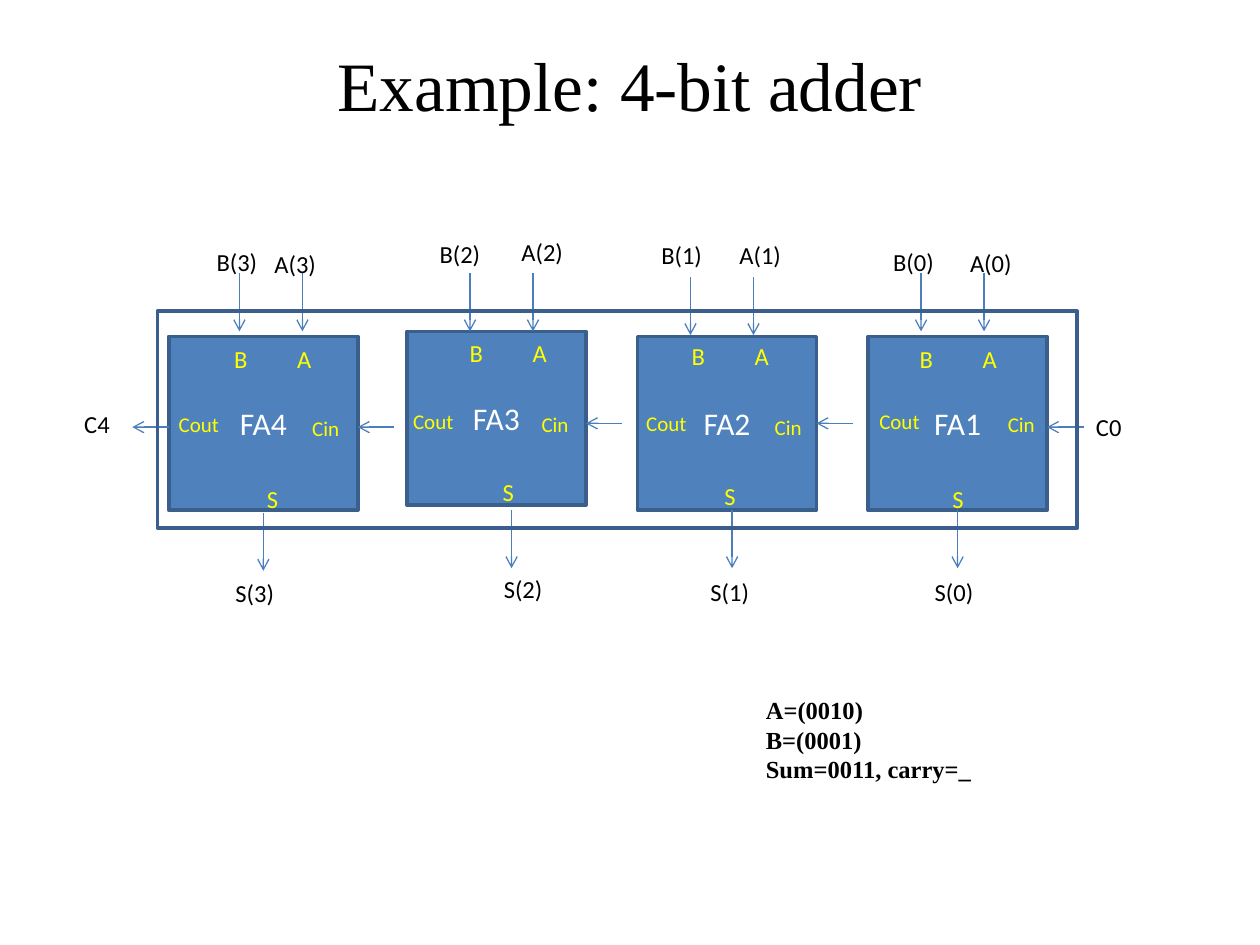
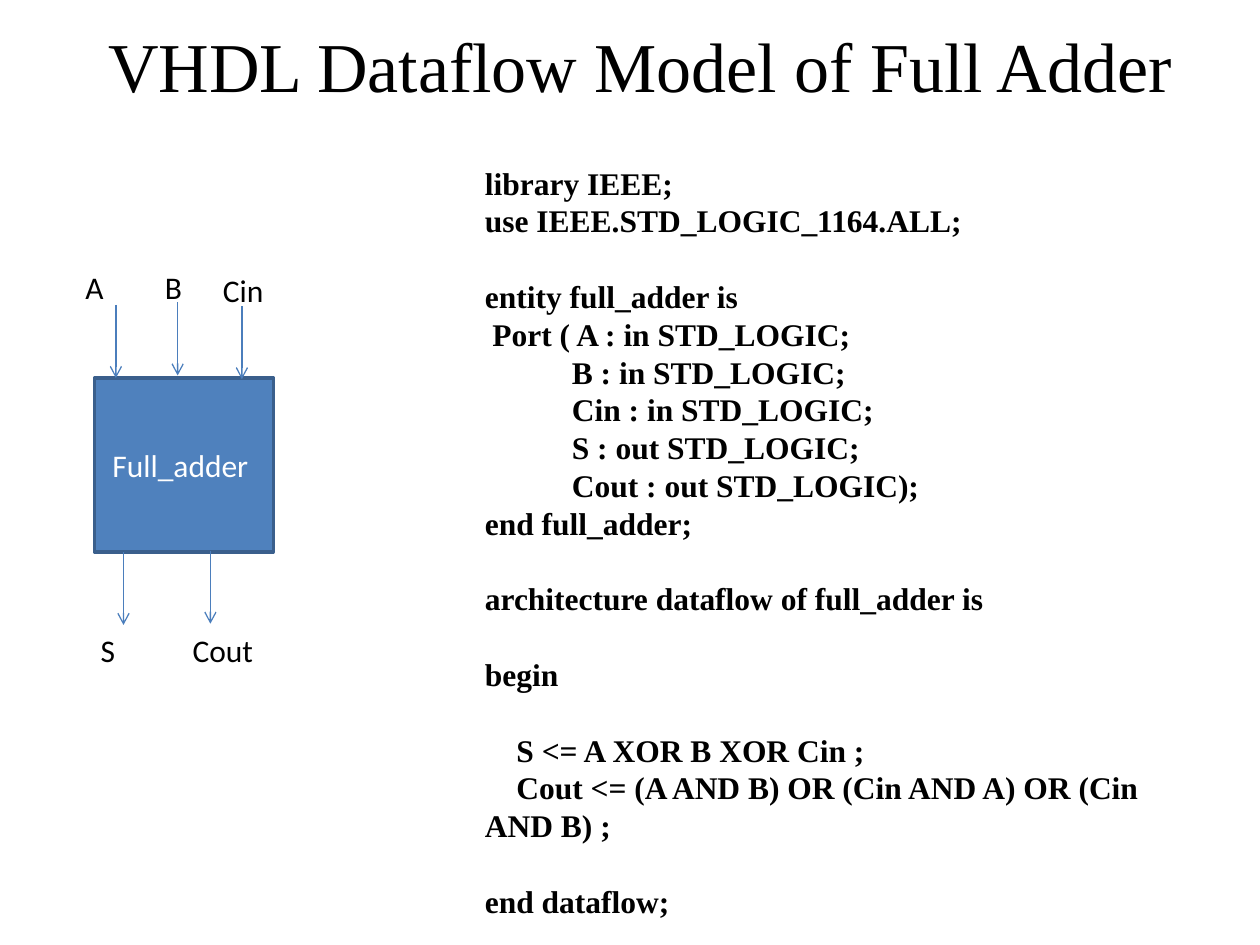
from collections import namedtuple

from lxml import etree
from pptx import Presentation
from pptx.dml.color import RGBColor
from pptx.enum import shapes, text
from pptx.oxml.ns import qn
from pptx.util import Inches, Pt

SERIF, SANS = "Times New Roman", "Calibri"
BLACK, WHITE, YELLOW = "000000", "FFFFFF", "FFFF00"
BLUE, EDGE, WIRE = "4F81BD", "3A5F8C", "4B7EBC"
BOX_W, BOX_H = 1.42, 1.38
LINE_GAP = 21.6  # height of one empty code line, in points

# Places are (x, y) in inches; the inner labels B and S hang off inner_a.
Adder = namedtuple(
    "Adder", "box width b_wire s_wire a_label b_label s_label inner_a cin cout carry_y")
ADDERS = [
    Adder((6.89, 2.67), BOX_W, (7.31, 2.17), (7.6, 4.05), (7.6, 1.92), (6.99, 1.91),
          (7.32, 4.53), (7.7, 2.68), (7.9, 3.22), (6.88, 3.19), 3.39),
    Adder((5.06, 2.67), BOX_W, (5.48, 2.2), (5.81, 4.05), (5.77, 1.86), (5.15, 1.86),
          (5.54, 4.53), (5.89, 2.66), (6.05, 3.24), (5.03, 3.21), 3.36),
    Adder((3.23, 2.63), BOX_W, (3.73, 2.17), (4.06, 4.05), (4.04, 1.83), (3.39, 1.85),
          (3.9, 4.51), (4.13, 2.63), (4.2, 3.22), (3.18, 3.19), 3.36),
    Adder((1.34, 2.67), 1.5, (1.9, 2.17), (2.09, 4.07), (2.08, 1.93), (1.62, 1.91),
          (1.77, 4.54), (2.26, 2.68), (2.38, 3.25), (1.32, 3.22), 3.39),
]

# (text, first-line indent in inches, empty lines before)
VHDL = [
    ("library IEEE;", 0, 0),
    ("use IEEE.STD_LOGIC_1164.ALL;", 0, 0),
    ("entity full_adder is", 0, 1),
    ("Port ( A : in STD_LOGIC;", 0.06, 0),
    ("B : in STD_LOGIC;", 0.69, 0),
    ("Cin : in STD_LOGIC;", 0.69, 0),
    ("S : out STD_LOGIC;", 0.69, 0),
    ("Cout : out STD_LOGIC);", 0.69, 0),
    ("end full_adder;", 0, 0),
    ("architecture dataflow of full_adder is", 0, 1),
    ("begin", 0, 1),
    ("S <= A XOR B XOR Cin ;", 0.25, 1),
    ("Cout <= (A AND B) OR (Cin AND A) OR (Cin AND B) ;", 0.25, 0),
    ("end dataflow;", 0, 1),
]


def rgb(value):
    return RGBColor.from_string(value)


def write(p, words, size=14, font=SANS, color=BLACK, bold=False,
          align=text.PP_ALIGN.LEFT, indent=0, before=0):
    p.alignment = align
    p.space_before = Pt(before)
    if indent:
        p._p.get_or_add_pPr().set("indent", str(Inches(indent)))
    r = p.add_run()
    r.text = words
    r.font.size, r.font.name, r.font.bold = Pt(size), font, bold
    r.font.color.rgb = rgb(color)


class Deck:
    def __init__(self):
        self.prs = Presentation()
        self.prs.slide_width, self.prs.slide_height = Inches(10), Inches(7.5)
        self.s = None

    def slide(self, title, at, size):
        self.s = self.prs.slides.add_slide(self.prs.slide_layouts[5])
        sp = self.s.shapes.title
        sp.left, sp.top, sp.width, sp.height = map(Inches, at)
        tf = sp.text_frame
        tf.auto_size = text.MSO_AUTO_SIZE.NONE
        tf.vertical_anchor = text.MSO_ANCHOR.MIDDLE
        write(tf.paragraphs[0], title, size=size, font=SERIF, align=text.PP_ALIGN.CENTER)

    def box(self, x, y, w, h, words=None):
        """A filled block with a caption, or an empty frame without one."""
        sp = self.s.shapes.add_shape(
            shapes.MSO_SHAPE.RECTANGLE, Inches(x), Inches(y), Inches(w), Inches(h))
        sp.shadow.inherit = False
        sp.line.color.rgb = rgb(EDGE)
        sp.line.width = Pt(2)
        if words is None:
            sp.fill.background()
            return
        sp.fill.solid()
        sp.fill.fore_color.rgb = rgb(BLUE)
        tf = sp.text_frame
        tf.vertical_anchor = text.MSO_ANCHOR.MIDDLE
        write(tf.paragraphs[0], words, size=18, color=WHITE, align=text.PP_ALIGN.CENTER)

    def arrow(self, x, y, dx=0, dy=0):
        ln = self.s.shapes.add_connector(
            shapes.MSO_CONNECTOR.STRAIGHT,
            Inches(x), Inches(y), Inches(x + dx), Inches(y + dy))
        ln.line.color.rgb = rgb(WIRE)
        ln.line.width = Pt(0.75)
        etree.SubElement(ln.line._get_or_add_ln(), qn("a:tailEnd"), type="arrow")
        etree.SubElement(ln._element.spPr, qn("a:effectLst"))

    def text_box(self, x, y, w, h):
        tf = self.s.shapes.add_textbox(
            Inches(x), Inches(y), Inches(w), Inches(h)).text_frame
        tf.word_wrap = True
        return tf

    def label(self, words, x, y, w=0.55, h=0.34, **fmt):
        write(self.text_box(x, y, w, h).paragraphs[0], words, **fmt)

    def lines(self, rows, x, y, w, h, size):
        """Bold serif lines from (text, indent, empty lines before)."""
        tf = self.text_box(x, y, w, h)
        for i, (words, indent, blanks) in enumerate(rows):
            p = tf.add_paragraph() if i else tf.paragraphs[0]
            write(p, words, size=size, font=SERIF, bold=True,
                  indent=indent, before=blanks * LINE_GAP)


def draw_adder(deck, bit, fa):
    x, y = fa.box
    deck.box(x, y, fa.width, BOX_H, f"FA{bit + 1}")

    bx, by = fa.b_wire
    for wire_x, wire_y in ((bx, by), (bx + 0.5, by), fa.s_wire):
        deck.arrow(wire_x, wire_y, dy=0.46)
    deck.arrow(x + fa.width + 0.29, fa.carry_y, dx=-0.29)

    for name, place in (("A", fa.a_label), ("B", fa.b_label), ("S", fa.s_label)):
        deck.label(f"{name}({bit})", *place)

    ax, ay = fa.inner_a
    for name, dx, dy in (("A", 0, 0), ("B", -0.5, 0), ("S", -0.24, 1.11)):
        deck.label(name, ax + dx, ay + dy, w=0.23, color=YELLOW)
    for name, place, w in (("Cin", fa.cin, 0.5), ("Cout", fa.cout, 0.55)):
        deck.label(name, *place, w=w, h=0.3, size=12, color=YELLOW)


def four_bit_adder(deck):
    deck.slide("Example: 4-bit adder", (1.25, 0.33, 7.5, 0.67), 39.6)
    for bit, fa in enumerate(ADDERS):
        draw_adder(deck, bit, fa)
    deck.arrow(1.34, 3.39, dx=-0.29)
    deck.label("C0", 8.6, 3.22, w=0.47)
    deck.label("C4", 0.57, 3.2, w=0.47)
    sums = ("A=(0010)", "B=(0001)", "Sum=0011, carry=_")
    deck.lines([(words, 0, 0) for words in sums], 5.98, 5.47, 1.88, 0.81, 14)
    deck.box(1.25, 2.47, 7.3, 1.72)


def dataflow_model(deck):
    deck.slide("VHDL Dataflow Model of Full Adder", (0.58, 0.02, 9, 0.98), 40)
    deck.lines(VHDL, 3.75, 1.25, 5.92, 6.16, 18)
    deck.box(0.75, 3, BOX_W, BOX_H, "Full_adder ")
    for x, y in ((0.92, 2.42), (1.41, 2.4), (1.92, 2.43), (0.98, 4.38), (1.67, 4.37)):
        deck.arrow(x, y, dy=0.58)
    for name, x, y, w in (("A", 0.58, 2.08, 0.5), ("B", 1.21, 2.08, 0.5),
                          ("Cin", 1.67, 2.1, 0.58), ("S", 0.7, 4.96, 0.58),
                          ("Cout", 1.43, 4.96, 0.82)):
        deck.label(name, x, y, w=w, h=0.4, size=18)


def main():
    deck = Deck()
    four_bit_adder(deck)
    dataflow_model(deck)
    deck.prs.save("out.pptx")


if __name__ == "__main__":
    main()
